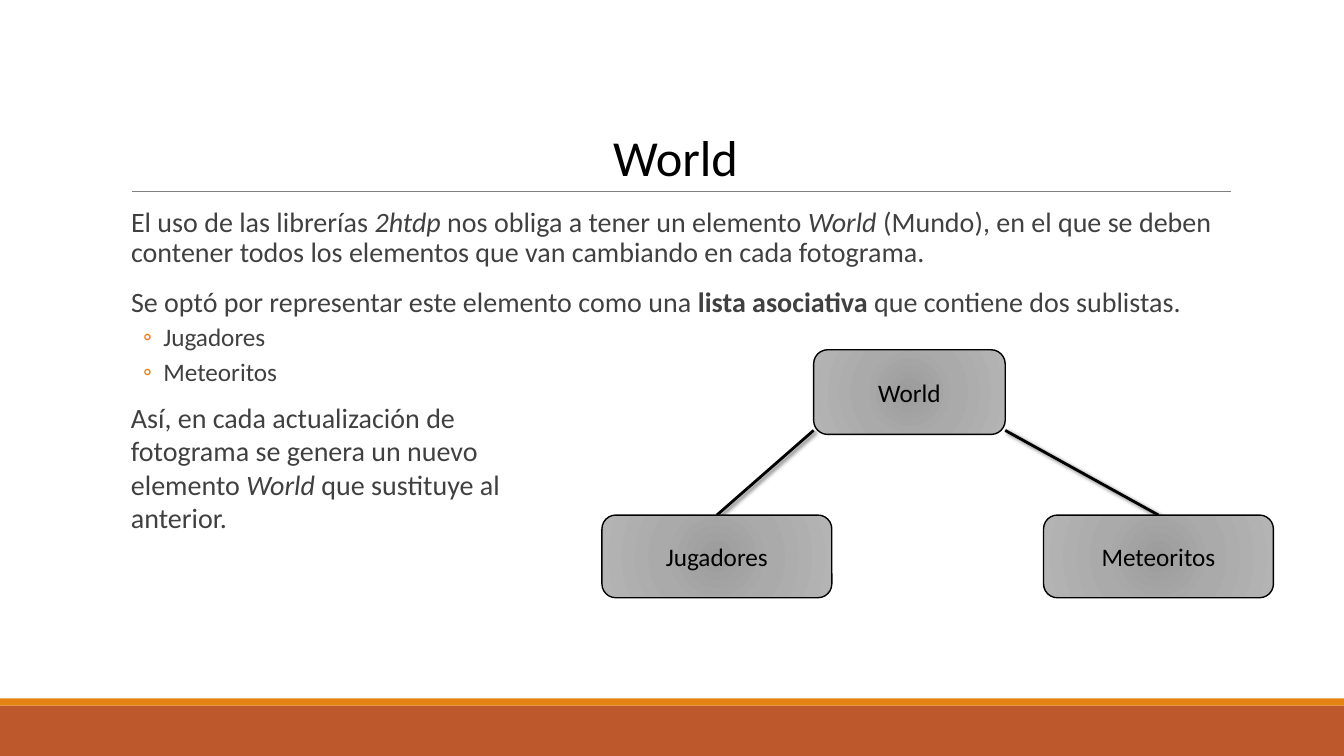
from lxml import etree
from pptx import Presentation
from pptx.dml.color import RGBColor as Rgb
from pptx.enum.shapes import MSO_CONNECTOR as Conn, MSO_SHAPE as Shape
from pptx.enum.text import MSO_ANCHOR as Anchor, MSO_AUTO_SIZE as Fit, PP_ALIGN as Align
from pptx.oxml import parse_xml
from pptx.util import Inches, Pt

HUES = {
    "rust": "BD582C", "amber": "E48312", "rule": "808080", "text": "404040",
    "black": "000000", "core": "9C9C9C", "mid": "AAAAAA", "edge": "B4B4B4",
}
NS = "http://schemas.openxmlformats.org/drawingml/2006/main"
FONT = "Calibri"


def hue(name):
    """Return a named colour."""
    return Rgb.from_string(HUES[name])


def node(name, body="", attrs=""):
    """Build one drawing element."""
    return parse_xml(f'<a:{name} xmlns:a="{NS}" {attrs}>{body}</a:{name}>')


def write(para, runs, size, color):
    """Add runs given as text or as (text, style) pairs."""
    for part in runs:
        text, style = (part, "") if isinstance(part, str) else part
        run = para.add_run()
        run.text = text
        font = run.font
        font.name, font.size = FONT, Pt(size)
        font.bold, font.italic = style == "b", style == "i"
        font.color.rgb = hue(color)


def band(slide, top, height, color):
    """Draw a full-width band."""
    bar = slide.shapes.add_shape(
        Shape.RECTANGLE, 0, Inches(top), Inches(13.33), Inches(height))
    bar.shadow.inherit = False
    bar.fill.solid()
    bar.fill.fore_color.rgb = hue(color)
    bar.line.fill.background()


def line(slide, start, end, color, width, shade=False):
    """Draw a straight line, with a soft shadow if asked."""
    link = slide.shapes.add_connector(
        Conn.STRAIGHT, *(Inches(n) for n in (*start, *end)))
    link.line.color.rgb = hue(color)
    link.line.width = Pt(width)
    cast = (f'<a:outerShdw blurRad="{Pt(3)}" dist="{Pt(2)}" dir="2700000">'
            f'<a:srgbClr val="{HUES["black"]}"><a:alpha val="60000"/></a:srgbClr>'
            '</a:outerShdw>') if shade else ""
    link._element.spPr.append(node("effectLst", cast))


def head(slide, box):
    """Place the title and the rule under it."""
    title = slide.shapes.title
    title.left, title.top, title.width, title.height = (Inches(n) for n in box)
    frame = title.text_frame
    frame.auto_size = Fit.NONE
    frame.vertical_anchor = Anchor.TOP
    para = frame.paragraphs[0]
    para.alignment = Align.CENTER
    write(para, ["World"], 36, "black")
    left, top, width, height = box
    base = top + height - 0.01
    line(slide, (left + 0.11, base), (left + width + 0.01, base), "rule", 0.5)


def area(slide, box):
    """Add a wrapping text box and return its frame."""
    frame = slide.shapes.add_textbox(*(Inches(n) for n in box)).text_frame
    frame.word_wrap = True
    return frame


def body(slide, box):
    """Write the main text and its bullets."""
    frame = area(slide, box)
    frame.margin_left = frame.margin_right = 0
    items = [
        (0, ["El uso de las librerías ", ("2htdp", "i"),
             " nos obliga a tener un elemento ", ("World", "i"),
             " (Mundo), en el que se deben contener todos los elementos"
             " que van cambiando en cada fotograma."]),
        (0, ["Se optó por representar este elemento como una ",
             ("lista asociativa", "b"), " que contiene dos sublistas."]),
        (1, ["Jugadores"]),
        (1, ["Meteoritos"]),
    ]
    for i, (level, runs) in enumerate(items):
        para = frame.add_paragraph() if i else frame.paragraphs[0]
        props = para._p.get_or_add_pPr()
        props.set("marL", str(Inches(0.42 if level else 0.1)))
        props.set("indent", str(Inches(-0.2 if level else 0)))
        if level:
            tint = f'<a:srgbClr val="{HUES["amber"]}"/>'
            props.append(node("buClr", tint))
            props.append(node("buFont", attrs=f'typeface="{FONT}"'))
            props.append(node("buChar", attrs='char="◦"'))
        para.level = level
        para.line_spacing = 0.9
        para.space_before = Pt((2 if level else 12) if i else 0)
        para.space_after = Pt(4 if level else 2)
        write(para, runs, 18 if level else 20, "text")


def note(slide, box):
    """Write the closing remark."""
    runs = ["Así, en cada actualización de fotograma se genera un nuevo elemento ",
            ("World", "i"), " que sustituye al anterior."]
    write(area(slide, box).paragraphs[0], runs, 20, "text")


def block(slide, box, label):
    """Draw a rounded node with a radial grey fill."""
    shape = slide.shapes.add_shape(
        Shape.ROUNDED_RECTANGLE, *(Inches(n) for n in box))
    shape.shadow.inherit = False
    stops = "".join(
        f'<a:gs pos="{pos}000"><a:srgbClr val="{HUES[name]}"/></a:gs>'
        for pos, name in ((0, "core"), (45, "mid"), (100, "edge")))
    focus = " ".join(f'{side}="100000"' for side in "ltrb")
    fill = node("gradFill", f'<a:gsLst>{stops}</a:gsLst>'
                f'<a:path path="circle"><a:fillToRect {focus}/></a:path>')
    shape._element.spPr.find(f"{{{NS}}}prstGeom").addnext(fill)
    shape.line.color.rgb = hue("black")
    shape.line.width = Pt(1)
    frame = shape.text_frame
    frame.vertical_anchor = Anchor.MIDDLE
    para = frame.paragraphs[0]
    para.alignment = Align.CENTER
    write(para, [label], 18, "black")


def tree(slide, box):
    """Draw the root, its two children and the links."""
    left, top, width, height = box
    wide, tall = 2.28, 0.82
    low = top + height - tall
    root = left + 2.1
    block(slide, (root, top, 1.9, 0.84), "World")
    kids = (("Jugadores", left, root), ("Meteoritos", left + width - wide, root + 1.9))
    for label, side, join in kids:
        line(slide, (join, top + 0.8), (side + wide / 2, low), "black", 2, True)
        block(slide, (side, low, wide, tall), label)


def main():
    """Build and save the slide."""
    deck = Presentation()
    deck.slide_width, deck.slide_height = Inches(13.33), Inches(7.5)
    slide = deck.slides.add_slide(deck.slide_layouts[5])
    band(slide, 7, 0.5, "rust")
    band(slide, 6.93, 0.07, "amber")
    head(slide, (1.2, 1.2, 11, 0.71))
    body(slide, (1.2, 2.02, 11, 1.9))
    note(slide, (1.2, 3.92, 4.39, 1.45))
    tree(slide, (5.97, 3.47, 6.66, 2.46))
    deck.save("out.pptx")


if __name__ == "__main__":
    main()
